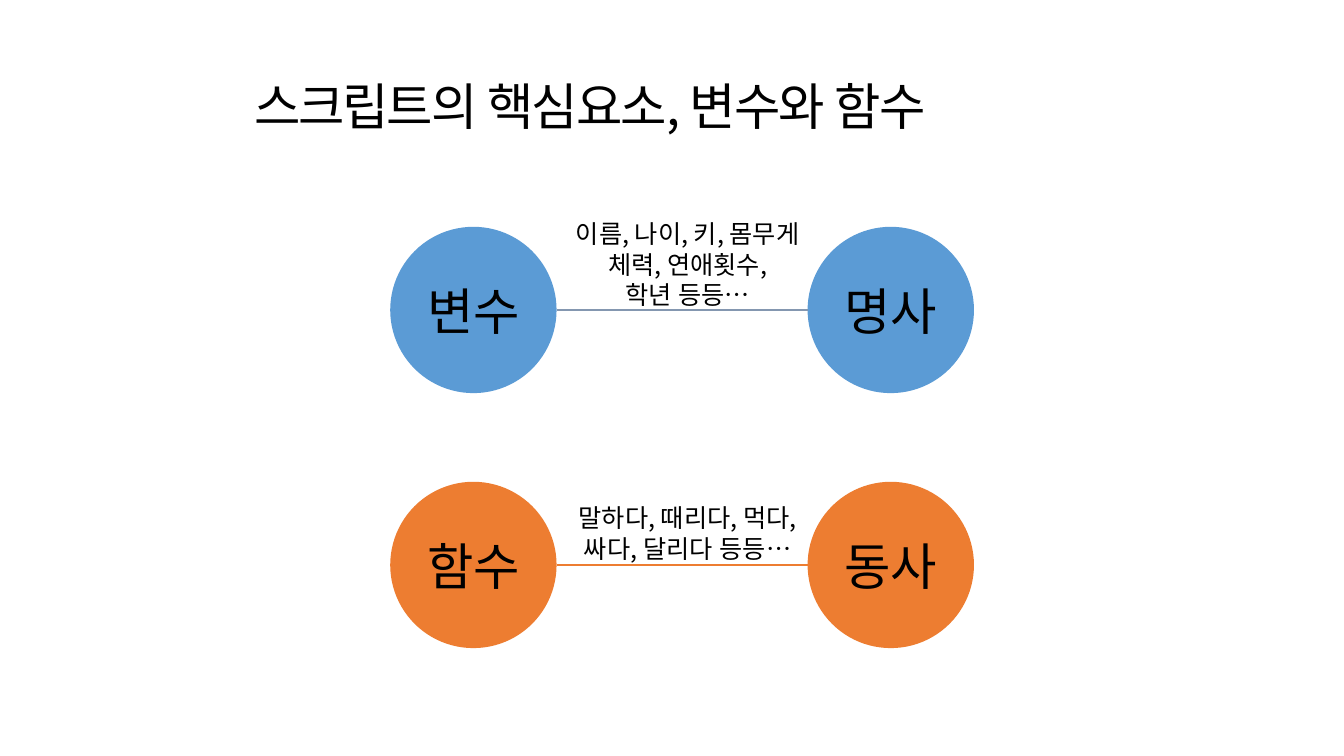
import pptx
import pptx.util
import pptx.dml.color
import pptx.enum.shapes
import pptx.enum.text
import pptx.oxml
import pptx.oxml.ns
import lxml.etree

Inches = pptx.util.Inches
Pt = pptx.util.Pt
RGBColor = pptx.dml.color.RGBColor
Align = pptx.enum.text.PP_ALIGN
Anchor = pptx.enum.text.MSO_ANCHOR

BLACK = RGBColor(0x00, 0x00, 0x00)
BLUE = RGBColor(0x5B, 0x9B, 0xD5)
ORANGE = RGBColor(0xED, 0x7D, 0x31)
SLATE = RGBColor(0x84, 0x97, 0xB0)

DIAMETER = 1.65
LEFT_X, RIGHT_X = 3.87, 8.01
ROWS = [
    (2.25, BLUE, SLATE, "변수", "명사", 2.11, 1.01,
     ["이름, 나이, 키, 몸무게", "체력, 연애횟수,", "학년 등등…"]),
    (4.78, ORANGE, ORANGE, "함수", "동사", 4.93, 0.71,
     ["말하다, 때리다, 먹다,", "싸다, 달리다 등등…"]),
]


def fill_text(frame, lines, font_name, size=18, align=Align.CENTER,
              anchor=Anchor.TOP, spacing=None, line_factor=1.22):
    frame.word_wrap = True
    frame.auto_size = pptx.enum.text.MSO_AUTO_SIZE.NONE
    frame.vertical_anchor = anchor
    for index, line in enumerate(lines):
        para = frame.paragraphs[0] if index == 0 else frame.add_paragraph()
        para.alignment = align
        para.line_spacing = Pt(round(size * line_factor))
        span = para.add_run()
        span.text = line
        span.font.size = Pt(size)
        span.font.name = font_name
        span.font.color.rgb = BLACK
        properties = span.font._element
        properties.set("lang", "ko-KR")
        if spacing is not None:
            properties.set("spc", str(round(spacing * 100)))
        latin = properties.find(pptx.oxml.ns.qn("a:latin"))
        latin.addnext(properties.makeelement(
            pptx.oxml.ns.qn("a:ea"), {"typeface": font_name}))


class Page:
    """Draws styled elements on one slide."""

    font_name = "Noto Sans CJK KR"

    def __init__(self, deck):
        self.slide = deck.slides.add_slide(deck.slide_layouts[5])

    def title(self, text, left, top, width, height):
        box = self.slide.shapes.title
        box.left, box.top = Inches(left), Inches(top)
        box.width, box.height = Inches(width), Inches(height)
        fill_text(box.text_frame, [text], self.font_name, size=36,
                  align=Align.LEFT, spacing=-1.5)

    def label(self, lines, left, top, width, height):
        box = self.slide.shapes.add_textbox(
            Inches(left), Inches(top), Inches(width), Inches(height))
        fill_text(box.text_frame, lines, self.font_name)

    def circle(self, text, left, top, color):
        disc = self.slide.shapes.add_shape(
            pptx.enum.shapes.MSO_SHAPE.OVAL, Inches(left), Inches(top),
            Inches(DIAMETER), Inches(DIAMETER))
        disc.shadow.inherit = False
        disc.fill.solid()
        disc.fill.fore_color.rgb = color
        disc.line.fill.background()
        fill_text(disc.text_frame, [text], self.font_name, size=36,
                  anchor=Anchor.MIDDLE)

    def link(self, start, end, height, color):
        line = self.slide.shapes.add_connector(
            pptx.enum.shapes.MSO_CONNECTOR.STRAIGHT,
            Inches(start), Inches(height), Inches(end), Inches(height))
        line.line.color.rgb = color
        line.line.width = Pt(2)
        lxml.etree.SubElement(line._element.spPr,
                              pptx.oxml.ns.qn("a:effectLst"))


def main():
    deck = pptx.Presentation()
    deck.slide_width, deck.slide_height = Inches(13.33), Inches(7.5)
    page = Page(deck)
    page.title("스크립트의 핵심요소, 변수와 함수", 2.42, 0.68, 8.5, 0.71)
    for top, fill, stroke, term, meaning, label_top, label_height, examples in ROWS:
        page.circle(term, LEFT_X, top, fill)
        page.circle(meaning, RIGHT_X, top, fill)
        page.link(LEFT_X + DIAMETER, RIGHT_X, top + DIAMETER / 2, stroke)
        page.label(examples, 5.33, label_top, 2.98, label_height)
    deck.save("out.pptx")


if __name__ == "__main__":
    main()
